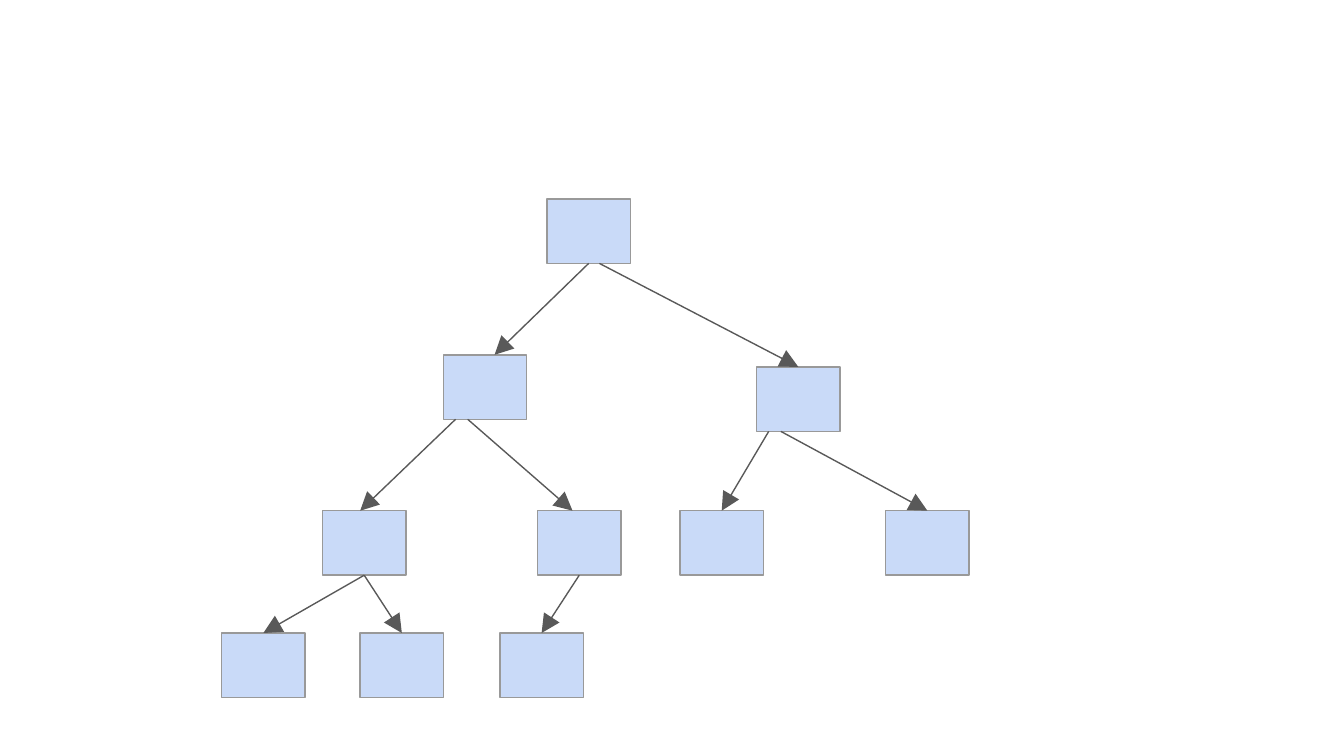
from lxml import etree
from pptx import Presentation
from pptx.dml.color import RGBColor
from pptx.enum import shapes
from pptx.oxml import ns
from pptx.util import Inches, Pt

FILL = RGBColor(0xC9, 0xDA, 0xF8)
EDGE = RGBColor(0x99, 0x99, 0x99)
ARROW = RGBColor(0x59, 0x59, 0x59)
WIDE, HIGH = 0.62, 0.48
STROKE = Pt(0.75)

# Node: left and top within the tree
NODES = {
    "root": (2.42, 0),
    "left": (1.65, 1.16),
    "right": (3.98, 1.25),
    "ll": (0.75, 2.32),
    "lr": (2.35, 2.32),
    "rl": (3.41, 2.32),
    "rr": (4.94, 2.32),
    "lll": (0, 3.23),
    "llr": (1.03, 3.23),
    "lrl": (2.07, 3.23),
}
# Link: parent, child, shift from the centre at each end
LINKS = [
    ("root", "left", 0, 0.07),
    ("root", "right", 0.08, 0),
    ("left", "ll", -0.22, -0.03),
    ("left", "lr", -0.13, -0.05),
    ("right", "rl", -0.22, 0),
    ("right", "rr", -0.13, 0),
    ("ll", "lll", 0, 0),
    ("ll", "llr", 0, 0),
    ("lr", "lrl", 0, 0),
]


def add_node(slide, left, top):
    """Draw one empty tree node."""
    node = slide.shapes.add_shape(
        shapes.MSO_SHAPE.RECTANGLE,
        Inches(left), Inches(top), Inches(WIDE), Inches(HIGH))
    node.shadow.inherit = False
    node.fill.solid()
    node.fill.fore_color.rgb = FILL
    node.line.color.rgb = EDGE
    node.line.width = STROKE


def add_link(slide, start, end):
    """Draw an arrow between two points."""
    link = slide.shapes.add_connector(
        shapes.MSO_CONNECTOR.STRAIGHT, *map(Inches, start + end))
    link.line.color.rgb = ARROW
    link.line.width = STROKE
    props = link.element.spPr
    etree.SubElement(props.find(ns.qn("a:ln")), ns.qn("a:tailEnd"),
                     type="triangle", w="lg", len="lg")
    etree.SubElement(props, ns.qn("a:effectLst"))


def add_tree(slide, left, top):
    """Draw the tree with its corner at the given point."""
    for x, y in NODES.values():
        add_node(slide, left + x, top + y)
    for parent, child, out, into in LINKS:
        x1, y1 = NODES[parent]
        x2, y2 = NODES[child]
        mid = left + WIDE / 2
        add_link(slide, (mid + x1 + out, top + y1 + HIGH),
                 (mid + x2 + into, top + y2))


deck = Presentation()
deck.slide_width = Inches(10)
deck.slide_height = deck.slide_width * 9 // 16
page = deck.slides.add_slide(deck.slide_layouts[6])
add_tree(page, 1.65, 1.48)
deck.save("out.pptx")
